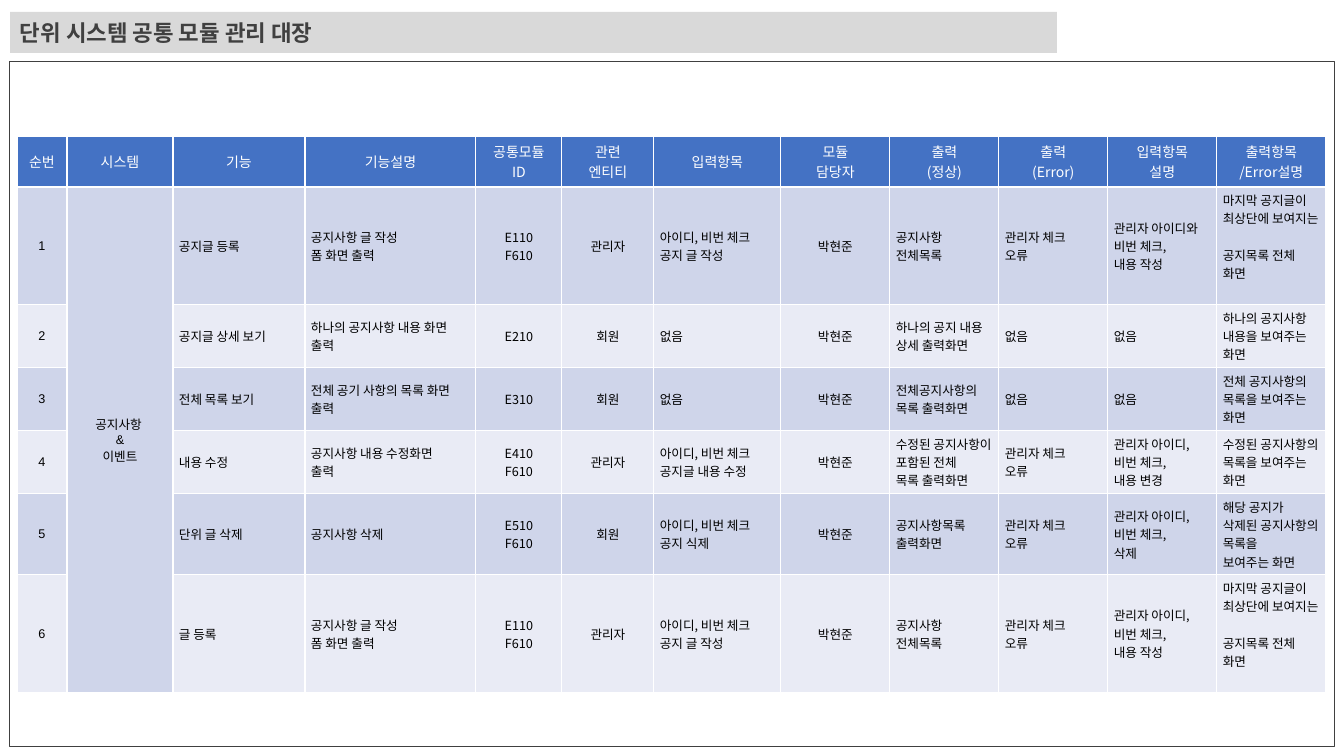
from lxml.etree import SubElement
from pptx import Presentation
from pptx.dml.color import RGBColor
from pptx.enum.shapes import MSO_SHAPE
from pptx.enum.text import MSO_ANCHOR, PP_ALIGN
from pptx.oxml.ns import qn
from pptx.util import Pt

RECTANGLE = MSO_SHAPE.RECTANGLE
MIDDLE = MSO_ANCHOR.MIDDLE
LEFT, CENTER = PP_ALIGN.LEFT, PP_ALIGN.CENTER
SCALE = 914400 / 100.8
KOREAN, LATIN = "Noto Sans CJK KR", "Arial"
COLORS = {
    "dark": "404040", "title": "D9D9D9", "header": "4472C4", "white": "FFFFFF",
    "text": "000000", "odd": "CFD5EA", "even": "E9EBF5",
}

COLUMN_WIDTHS = [50, 106, 132, 171, 86, 92, 127] + [109] * 5
ROW_HEIGHTS = [51, 117, 63, 63, 63, 81, 117]
CENTERED_COLUMNS = {0, 1, 4, 5, 7}
HEADERS = [
    "순번", "시스템", "기능", "기능설명", "공통모듈\nID", "관련\n엔티티", "입력항목",
    "모듈\n담당자", "출력\n(정상)", "출력\n(Error)", "입력항목\n설명", "출력항목\n/Error설명",
]
SYSTEM = "공지사항 \n&\n이벤트"
MANAGER = "박현준"
NONE = "없음"
CHECK_ERROR = "관리자 체크\n오류"
WRITE_FORM = "공지사항 글 작성\v폼 화면 출력"
WRITE_INPUT = "아이디, 비번 체크\v공지 글 작성"
FULL_LIST = "공지사항\n전체목록"
LATEST_FIRST = "마지막 공지글이 최상단에 보여지는 \v공지목록 전체 화면\v"
MODULES = [
    ["공지글 등록", WRITE_FORM, "E110\vF610", "관리자", WRITE_INPUT, MANAGER, FULL_LIST,
     CHECK_ERROR, "관리자 아이디와 비번 체크,\v내용 작성", LATEST_FIRST],
    ["공지글 상세 보기", "하나의 공지사항 내용 화면 출력", "E210", "회원", NONE, MANAGER,
     "하나의 공지 내용 \v상세 출력화면", NONE, NONE, "하나의 공지사항 내용을 보여주는 화면"],
    ["전체 목록 보기", "전체 공기 사항의 목록 화면 출력", "E310", "회원", NONE, MANAGER,
     "전체공지사항의 \v목록 출력화면", NONE, NONE, "전체 공지사항의 목록을 보여주는 화면"],
    ["내용 수정", "공지사항 내용 수정화면\n출력", "E410\vF610", "관리자",
     "아이디, 비번 체크\v공지글 내용 수정", MANAGER, "수정된 공지사항이 포함된 전체\n목록 출력화면",
     CHECK_ERROR, "관리자 아이디, 비번 체크,\v내용 변경", "수정된 공지사항의 목록을 보여주는 화면"],
    ["단위 글 삭제", "공지사항 삭제", "E510\vF610", "회원", "아이디, 비번 체크\v공지 식제", MANAGER,
     "공지사항목록\n출력화면", CHECK_ERROR, "관리자 아이디, 비번 체크,\v삭제",
     "해당 공지가 삭제된 공지사항의 목록을 \v보여주는 화면"],
    ["글 등록", WRITE_FORM, "E110\vF610", "관리자", WRITE_INPUT, MANAGER, FULL_LIST,
     CHECK_ERROR, "관리자 아이디, 비번 체크,\v내용 작성", LATEST_FIRST],
]


def px(length):
    return round(length * SCALE)


def rgb(name):
    return RGBColor.from_string(COLORS[name])


def write_text(frame, text, size, color, align, font=KOREAN, bold=False):
    frame.text = text
    for para in frame.paragraphs:
        para.alignment = align
        para.font.size = Pt(size)
        para.font.bold = bold
        para.font.name = font
        para.font.color.rgb = rgb(color)
        if font == KOREAN:
            defaults = para._p.pPr.find(qn("a:defRPr"))
            SubElement(defaults, qn("a:ea"), typeface=font)


def add_rectangle(page, box):
    shape = page.shapes.add_shape(RECTANGLE, *map(px, box))
    shape.shadow.inherit = False
    return shape


def add_frame(page, box):
    frame = add_rectangle(page, box)
    frame.fill.background()
    frame.line.color.rgb = rgb("dark")
    frame.line.width = Pt(0.5)


def add_title(page, box):
    title = add_rectangle(page, box)
    title.fill.solid()
    title.fill.fore_color.rgb = rgb("title")
    title.line.fill.background()
    title.text_frame.word_wrap = True
    title.text_frame.vertical_anchor = MIDDLE
    write_text(title.text_frame, "단위 시스템 공통 모듈 관리 대장", 16, "dark", LEFT, bold=True)


def style_cell(cell, fill):
    properties = cell._tc.get_or_add_tcPr()
    for side in ("L", "R", "T", "B"):
        border = SubElement(properties, qn(f"a:ln{side}"), w=str(Pt(1)))
        SubElement(SubElement(border, qn("a:solidFill")), qn("a:srgbClr"), val=COLORS["white"])
    cell.fill.solid()
    cell.fill.fore_color.rgb = rgb(fill)
    cell.vertical_anchor = MIDDLE


def add_module_table(page, left, top):
    rows = [HEADERS] + [
        [str(number), SYSTEM if number == 1 else ""] + module
        for number, module in enumerate(MODULES, 1)
    ]
    box = (left, top, sum(COLUMN_WIDTHS), sum(ROW_HEIGHTS))
    table = page.shapes.add_table(len(rows), len(HEADERS), *map(px, box)).table
    for column, width in zip(table.columns, COLUMN_WIDTHS):
        column.width = px(width)
    for row, height in zip(table.rows, ROW_HEIGHTS):
        row.height = px(height)
    table.cell(1, 1).merge(table.cell(len(MODULES), 1))

    for row_index, texts in enumerate(rows):
        for column_index, text in enumerate(texts):
            cell = table.cell(row_index, column_index)
            if row_index == 0:
                style_cell(cell, "header")
                write_text(cell.text_frame, text, 10, "white", CENTER)
                continue
            style_cell(cell, "odd" if row_index % 2 else "even")
            if cell.is_spanned:
                continue
            align = CENTER if column_index in CENTERED_COLUMNS else LEFT
            font = LATIN if column_index < 2 else KOREAN
            write_text(cell.text_frame, text, 9, "text", align, font)
            if column_index >= 2:
                cell.margin_left = cell.margin_right = px(6)
                cell.margin_top = cell.margin_bottom = px(4)


def main():
    deck = Presentation()
    deck.slide_width, deck.slide_height = px(1344), px(756)
    page = deck.slides.add_slide(deck.slide_layouts[6])
    add_frame(page, (9, 61, 1325, 685))
    add_title(page, (10, 12, 1047, 41))
    add_module_table(page, 17, 136)
    deck.save("out.pptx")


if __name__ == "__main__":
    main()
